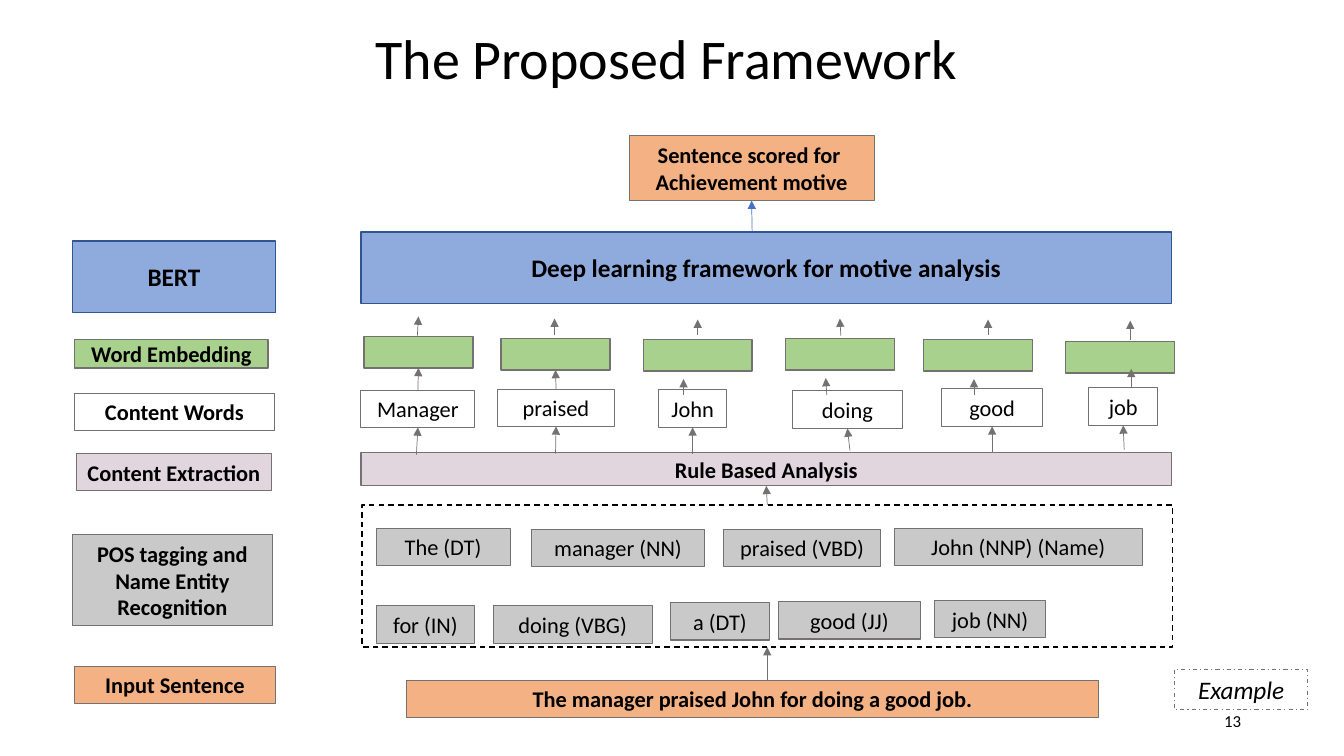
"""Build the slide on the proposed framework for scoring achievement motive."""
from pptx import Presentation
from pptx.dml.color import RGBColor
from pptx.enum.dml import MSO_LINE
from pptx.enum.shapes import MSO_CONNECTOR, MSO_SHAPE
from pptx.enum.text import MSO_ANCHOR, PP_ALIGN
from pptx.oxml.ns import qn
from pptx.util import Inches, Pt
from lxml import etree

RECT, STRAIGHT = MSO_SHAPE.RECTANGLE, MSO_CONNECTOR.STRAIGHT
CENTER, RIGHT, MIDDLE = PP_ALIGN.CENTER, PP_ALIGN.RIGHT, MSO_ANCHOR.MIDDLE
DASH, DASH_DOT = MSO_LINE.DASH, MSO_LINE.DASH_DOT
TOP, BOTTOM = 0, 2
CELL = Inches(0.1)
COLORS = {
    "black": "000000", "gray": "767171", "navy": "325491", "arrow_blue": "4472C4",
    "orange": "F4B183", "blue": "8FAADC", "green": "A9D18E", "mauve": "E2D6DE",
    "silver": "C9C9C9",
}

deck = Presentation()
deck.slide_width, deck.slide_height = Inches(13.33), Inches(7.5)
slide = deck.slides.add_slide(deck.slide_layouts[6])


def add_box(grid, text="", fill=None, line="gray", weight=0.75, dash=None,
            size=16, bold=False, italic=False, align=CENTER):
    """Draw a rectangle, given in grid cells, with centred lines of text."""
    box = slide.shapes.add_shape(RECT, *[round(cells * CELL) for cells in grid])
    box.shadow.inherit = False
    if fill:
        box.fill.solid()
        box.fill.fore_color.rgb = RGBColor.from_string(COLORS[fill])
    else:
        box.fill.background()
    if line:
        box.line.color.rgb = RGBColor.from_string(COLORS[line])
        box.line.width = Pt(weight)
        if dash:
            box.line.dash_style = dash
    else:
        box.line.fill.background()
    frame = box.text_frame
    frame.word_wrap = True
    frame.vertical_anchor = MIDDLE
    frame.margin_left = frame.margin_right = Inches(0.05)
    for index, words in enumerate(text.split("\n") if text else []):
        paragraph = frame.add_paragraph() if index else frame.paragraphs[0]
        paragraph.alignment = align
        run = paragraph.add_run()
        run.text = words
        run.font.name, run.font.size = "Calibri", Pt(size)
        run.font.bold, run.font.italic = bold, italic
        run.font.color.rgb = RGBColor.from_string(COLORS["black"])
    return box


def add_arrow(x1, y1, x2, y2, source=None, target=None, color="gray"):
    """Draw an upward arrow, joined to the boxes it meets."""
    ends = [round(cells * CELL) for cells in (x1, y1, x2, y2)]
    arrow = slide.shapes.add_connector(STRAIGHT, *ends)
    arrow.line.color.rgb = RGBColor.from_string(COLORS[color])
    arrow.line.width = Pt(0.5)
    etree.SubElement(arrow.line._get_or_add_ln(), qn("a:tailEnd"), type="triangle")
    etree.SubElement(arrow._element.spPr, qn("a:effectLst"))
    if source:
        arrow.begin_connect(source, TOP)
    if target:
        arrow.end_connect(target, BOTTOM)


add_box((8.6, -1.6, 115, 14.5), "The Proposed Framework", line=None, size=40)
add_box((93.6, 69.5, 30, 4), "13", line=None, size=12, align=RIGHT)

stages = [
    ("BERT", (7.2, 23.9, 20.1, 7.1), "blue", "navy", 1, 18),
    ("Word Embedding", (7.4, 33.7, 19.2, 2.8), "green", "gray", 1, 16),
    ("Content Words", (7.4, 39, 19.8, 3.7), None, "gray", 0.75, 16),
    ("Content Extraction", (7.6, 45, 19.3, 3.7), "mauve", "gray", 0.75, 16),
    ("POS tagging and Name Entity Recognition", (7.2, 53, 19.8, 9.1),
     "silver", "gray", 0.75, 16),
    ("Input Sentence", (7.4, 66.1, 19.9, 3.7), "orange", "gray", 0.75, 16),
]
for stage, grid, fill, line, weight, size in stages:
    add_box(grid, stage, fill, line, weight, size=size, bold=True)

score = add_box((62.4, 13.4, 24.3, 6.5), "Sentence scored for \nAchievement motive",
                "orange", bold=True)
add_box((35.8, 23, 80.4, 7.1), "Deep learning framework for motive analysis",
        "blue", "navy", 1, size=18, bold=True)
rules = add_box((35.8, 44.9, 80.4, 3.3), "Rule Based Analysis", "mauve", weight=1, bold=True)
add_box((40.3, 67.5, 68.7, 3.7), "The manager praised John for doing a good job.",
        "orange", bold=True)
add_box((116.5, 66.4, 13.2, 4), "Example", dash=DASH_DOT, size=18, italic=True)

tags = [
    ("The (DT)", 37.3, 52.4, 13.3), ("manager (NN)", 52.7, 52.5, 17.2),
    ("praised (VBD)", 71.8, 52.5, 15.5), ("John (NNP) (Name)", 88.7, 52.4, 24.6),
    ("for (IN)", 37.3, 60.1, 9.8), ("doing (VBG)", 48.9, 60.1, 15.8),
    ("a (DT)", 66.5, 59.8, 9.8), ("good (JJ)", 77.2, 59.7, 14.1),
    ("job (NN)", 92.7, 59.6, 11),
]
for tag, left, top, width in tags:
    add_box((left, top, width, 3.7), tag, "silver")
tagged = add_box((35.9, 50.1, 80.4, 14.1), line="black", weight=1, dash=DASH)

content_words = [
    ("Manager", (35.8, 38.7, 11.3, 3.7), (36.1, 33.4),
     (41.3, 45.1), None, (41.4, 33.3, 41.5, 31.4)),
    ("praised", (49.3, 38.6, 11.7, 3.7), (49.7, 33.6),
     (55.1, 45), None, (55, 33.2, 55, 31.6)),
    ("John", (65.3, 38.6, 6.8, 3.8), (63.8, 33.7),
     (68.7, 45), (67.8, 39.2, 67.8, 37.6), (69.2, 33.2, 69.2, 31.7)),
    ("doing", (78.6, 38.7, 10.9, 3.8), (77.9, 33.6),
     (84.3, 44.7), (82, 39.2, 81.9, 37.5), (83.4, 33.3, 83.3, 31.6)),
    ("good", (93.4, 38.5, 10, 3.8), (91.6, 33.7),
     (98.4, 44.9), (96.6, 39.2, 96.6, 37.6), (98, 33.2, 98, 31.7)),
    ("job", (108, 38.4, 6.8, 3.8), (105.7, 33.9),
     (111.5, 44.6), (112.2, 38.4, 112.2, 36.6), (112.1, 33.7, 112.1, 31.8)),
]
for word, grid, (left, top), rule_point, loose_arrow, output_arrow in content_words:
    embedding = add_box((left, top, 10.8, 3.1), fill="green", weight=1)
    content = add_box(grid, word)
    add_arrow(*rule_point, *rule_point, target=content)
    if loose_arrow:
        add_arrow(*loose_arrow)
    else:
        add_arrow(*rule_point, *rule_point, source=content, target=embedding)
    add_arrow(*output_arrow)

add_arrow(76.1, 67.5, 76.1, 64.2, target=tagged)
add_arrow(76.1, 50.1, 76, 48.2, source=tagged, target=rules)
add_arrow(74.6, 22.9, 74.6, 19.9, target=score, color="arrow_blue")

deck.save("out.pptx")
